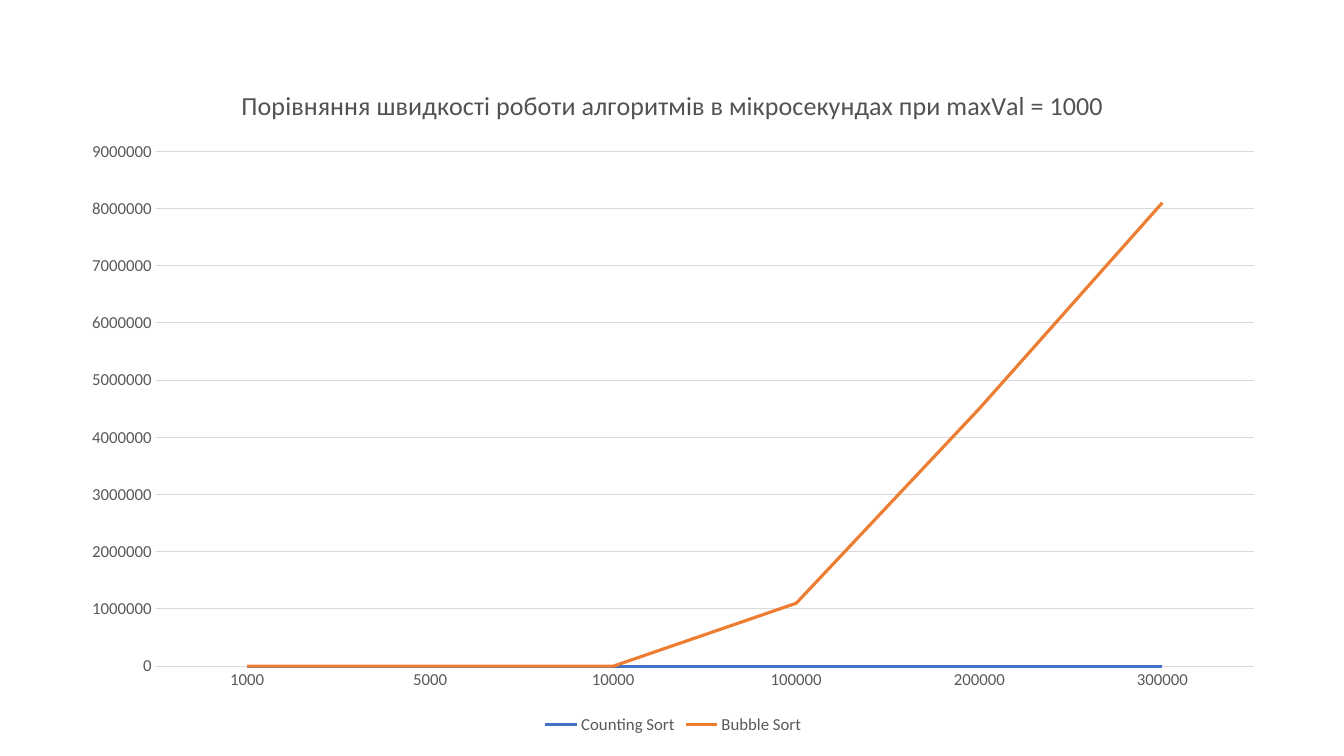
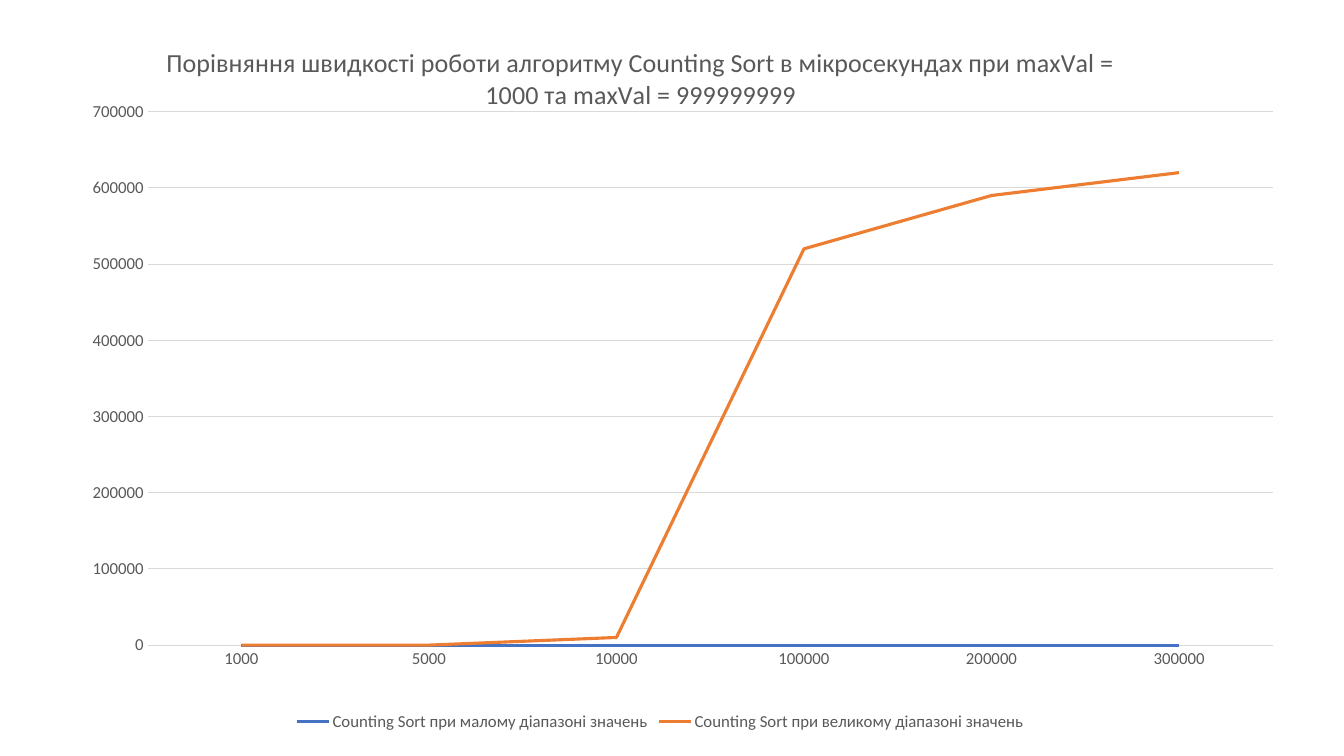
"""Build two slides with line charts comparing sorting times."""
from lxml import etree
from pptx import Presentation
from pptx.chart.data import CategoryChartData
from pptx.dml.color import RGBColor
from pptx.enum.chart import XL_CHART_TYPE, XL_LEGEND_POSITION, XL_TICK_MARK
from pptx.oxml.ns import qn
from pptx.util import Cm, Pt

LINE_CHART = XL_CHART_TYPE.LINE
LEGEND_BOTTOM = XL_LEGEND_POSITION.BOTTOM
NO_TICK = XL_TICK_MARK.NONE
FONT_NAME = "Calibri"
TEXT_COLOUR = "595959"
GRID_COLOUR = "D9D9D9"
SERIES_COLOURS = ["4472C4", "ED7D31"]
ARRAY_SIZES = ["1000", "5000", "10000", "100000", "200000", "300000"]
EDGE_MODES = {"xMode": "edge", "yMode": "edge"}

CHARTS = [
    {
        "title": "Порівняння швидкості роботи алгоритмів в мікросекундах при maxVal = 1000",
        "title_colour": "525252",
        "title_percent": {"x": 13.9, "y": 2.4},
        "place": (1.73, 1.68, 30.48, 16.94),
        "plot_percent": {"x": 7.2, "y": 12.6, "w": 90.8, "h": 76.6},
        "scale": (9000000, 1000000),
        "series": {
            "Counting Sort": [0, 0, 0, 0, 0, 0],
            "Bubble Sort": [0, 0, 0, 1100000, 4500000, 8100000],
        },
    },
    {
        "title": "Порівняння швидкості роботи алгоритму Counting Sort в мікросекундах "
                 "при maxVal = 1000 та maxVal = 999999999",
        "title_colour": TEXT_COLOUR,
        "title_percent": {"x": 10.6, "y": 0},
        "place": (0.69, 0.99, 31.9, 17.55),
        "plot_percent": {"x": 9.5, "y": 10.4, "w": 88.9, "h": 76.6},
        "scale": (700000, 100000),
        "series": {
            "Counting Sort при малому діапазоні значень": [0, 0, 0, 0, 0, 0],
            "Counting Sort при великому діапазоні значень":
                [0, 0, 10000, 520000, 590000, 620000],
        },
    },
]


def set_font(font, size, colour):
    """Apply the shared typeface with a size and colour."""
    font.name = FONT_NAME
    font.size = Pt(size)
    font.bold = False
    font.color.rgb = RGBColor.from_string(colour)


def set_layout(element, index, modes, percents):
    """Place a chart part by percentages of the chart area."""
    for old_layout in element.findall(qn("c:layout")):
        element.remove(old_layout)
    layout = etree.Element(qn("c:layout"))
    manual = etree.SubElement(layout, qn("c:manualLayout"))
    fractions = {name: f"{percent / 100:.3f}" for name, percent in percents.items()}
    for name, value in {**modes, **fractions}.items():
        etree.SubElement(manual, qn(f"c:{name}")).set("val", value)
    element.insert(index, layout)


presentation = Presentation()
presentation.slide_width = Cm(33.87)
presentation.slide_height = Cm(19.05)
blank_layout = presentation.slide_layouts[6]

for chart_spec in CHARTS:
    slide = presentation.slides.add_slide(blank_layout)
    chart_data = CategoryChartData(number_format="General")
    chart_data.categories = ARRAY_SIZES
    for name, values in chart_spec["series"].items():
        chart_data.add_series(name, values)
    place = [Cm(length) for length in chart_spec["place"]]
    chart = slide.shapes.add_chart(LINE_CHART, *place, chart_data).chart
    set_font(chart.font, 12, TEXT_COLOUR)

    chart.has_title = True
    title = chart.chart_title
    title.include_in_layout = False
    title.text_frame.text = chart_spec["title"]
    set_font(title.text_frame.paragraphs[0].font, 18.6, chart_spec["title_colour"])
    set_layout(title._element, 1, EDGE_MODES, chart_spec["title_percent"])
    plot_area = chart._chartSpace.find(".//" + qn("c:plotArea"))
    plot_modes = {"layoutTarget": "inner", **EDGE_MODES}
    set_layout(plot_area, 0, plot_modes, chart_spec["plot_percent"])

    chart.has_legend = True
    chart.legend.position = LEGEND_BOTTOM
    chart.legend.include_in_layout = False
    set_font(chart.legend.font, 12, TEXT_COLOUR)

    for axis in (chart.category_axis, chart.value_axis):
        axis.major_tick_mark = NO_TICK
        axis.minor_tick_mark = NO_TICK
        set_font(axis.tick_labels.font, 12, TEXT_COLOUR)
    value_axis = chart.value_axis
    value_axis.minimum_scale = 0
    value_axis.maximum_scale, value_axis.major_unit = chart_spec["scale"]
    value_axis.format.line.fill.background()
    value_axis.has_major_gridlines = True
    for line in (chart.category_axis.format.line, value_axis.major_gridlines.format.line):
        line.width = Pt(0.75)
        line.color.rgb = RGBColor.from_string(GRID_COLOUR)

    chart.plots[0].vary_by_categories = False
    for series, colour in zip(chart.plots[0].series, SERIES_COLOURS):
        series.smooth = False
        series.format.line.width = Pt(2.25)
        series.format.line.color.rgb = RGBColor.from_string(colour)

presentation.save("out.pptx")
